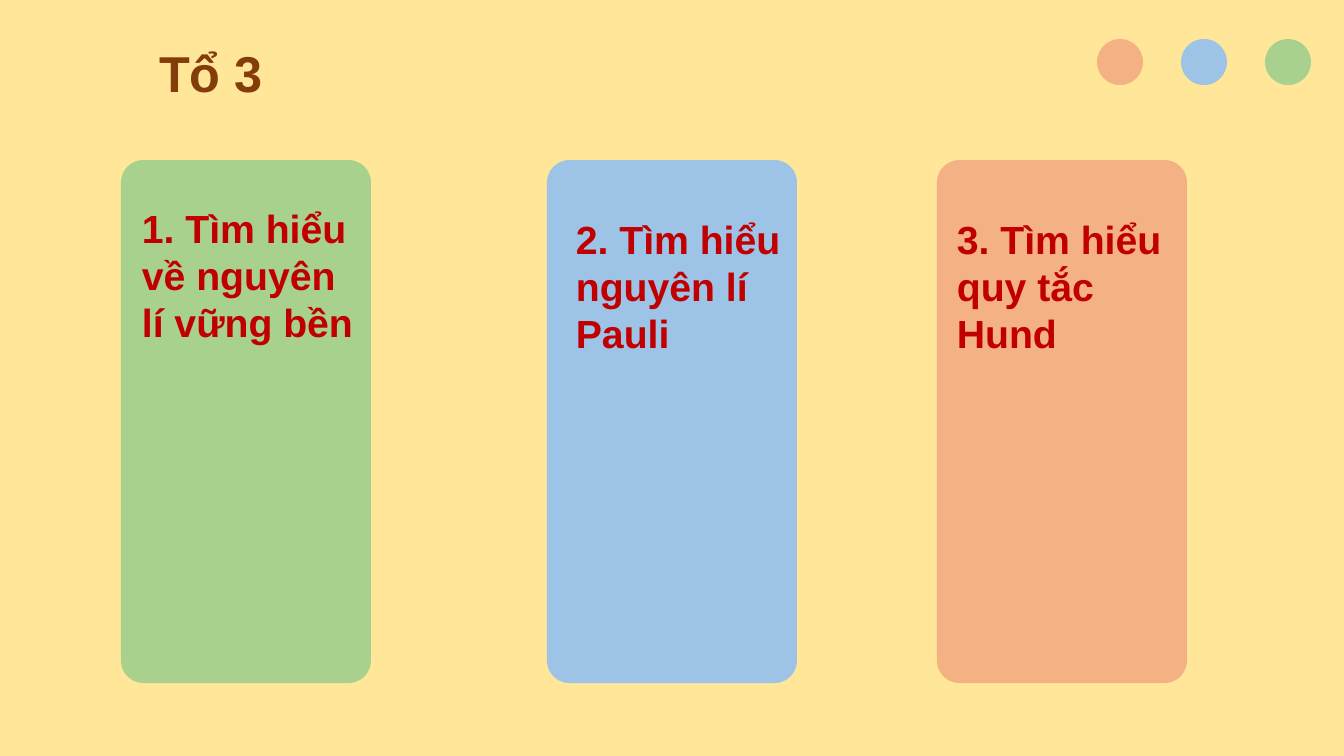
from dataclasses import dataclass

from pptx import Presentation
from pptx.dml.color import RGBColor
from pptx.enum.shapes import MSO_SHAPE
from pptx.enum.text import MSO_ANCHOR, MSO_AUTO_SIZE, PP_ALIGN
from pptx.util import Pt

EMU_PER_PX = 914400 / 100.8
CARD_SHAPE = MSO_SHAPE.ROUNDED_RECTANGLE
DOT_SHAPE = MSO_SHAPE.OVAL
TOP = MSO_ANCHOR.TOP
LEFT = PP_ALIGN.LEFT
NO_AUTOFIT = MSO_AUTO_SIZE.NONE
TITLE_ONLY = 5


@dataclass(frozen=True)
class Theme:
    font: str = "Arial"
    background: str = "FFE699"
    heading: str = "843C0B"
    topic: str = "C00000"
    green: str = "A9D18E"
    blue: str = "9DC3E6"
    orange: str = "F4B183"
    heading_size: int = 36
    topic_size: int = 28


def px(*lengths):
    return [round(length * EMU_PER_PX) for length in lengths]


class Board:
    def __init__(self, deck, theme):
        self.theme = theme
        self.slide = deck.slides.add_slide(deck.slide_layouts[TITLE_ONLY])
        backdrop = self.slide.background.fill
        backdrop.solid()
        backdrop.fore_color.rgb = RGBColor.from_string(theme.background)

    def set_wording(self, holder, wording, size, color):
        frame = holder.text_frame
        frame.text = wording
        frame.word_wrap = True
        frame.auto_size = NO_AUTOFIT
        frame.vertical_anchor = TOP
        paragraph = frame.paragraphs[0]
        paragraph.alignment = LEFT
        font = paragraph.runs[0].font
        font.name = self.theme.font
        font.size = Pt(size)
        font.bold = True
        font.color.rgb = RGBColor.from_string(color)

    def title(self, wording, box):
        heading = self.slide.shapes.title
        heading.left, heading.top, heading.width, heading.height = px(*box)
        self.set_wording(heading, wording, self.theme.heading_size, self.theme.heading)

    def topic(self, wording, box):
        label = self.slide.shapes.add_textbox(*px(*box))
        self.set_wording(label, wording, self.theme.topic_size, self.theme.topic)

    def block(self, outline, box, color):
        block = self.slide.shapes.add_shape(outline, *px(*box))
        block.shadow.inherit = False
        block.fill.solid()
        block.fill.fore_color.rgb = RGBColor.from_string(color)
        block.line.fill.background()
        return block

    def card(self, left, color):
        card = self.block(CARD_SHAPE, (left, 160, 250, 523), color)
        card.adjustments[0] = 0.09

    def dot(self, left, color):
        self.block(DOT_SHAPE, (left, 39, 46, 46), color)


def main():
    theme = Theme()
    deck = Presentation()
    deck.slide_width, deck.slide_height = px(1344, 756)
    board = Board(deck, theme)
    board.title("Tổ 3", (149, 37, 492, 72))

    topics = [
        (121, theme.green, "1. Tìm hiểu về nguyên lí vững bền", (132, 199, 238, 194)),
        (547, theme.blue, "2. Tìm hiểu nguyên lí Pauli", (566, 210, 231, 183)),
        (937, theme.orange, "3. Tìm hiểu quy tắc Hund", (947, 210, 265, 183)),
    ]
    for card_left, color, wording, box in topics:
        board.card(card_left, color)
        board.topic(wording, box)

    for index, color in enumerate((theme.orange, theme.blue, theme.green)):
        board.dot(1097 + index * 84, color)

    deck.save("out.pptx")


if __name__ == "__main__":
    main()
